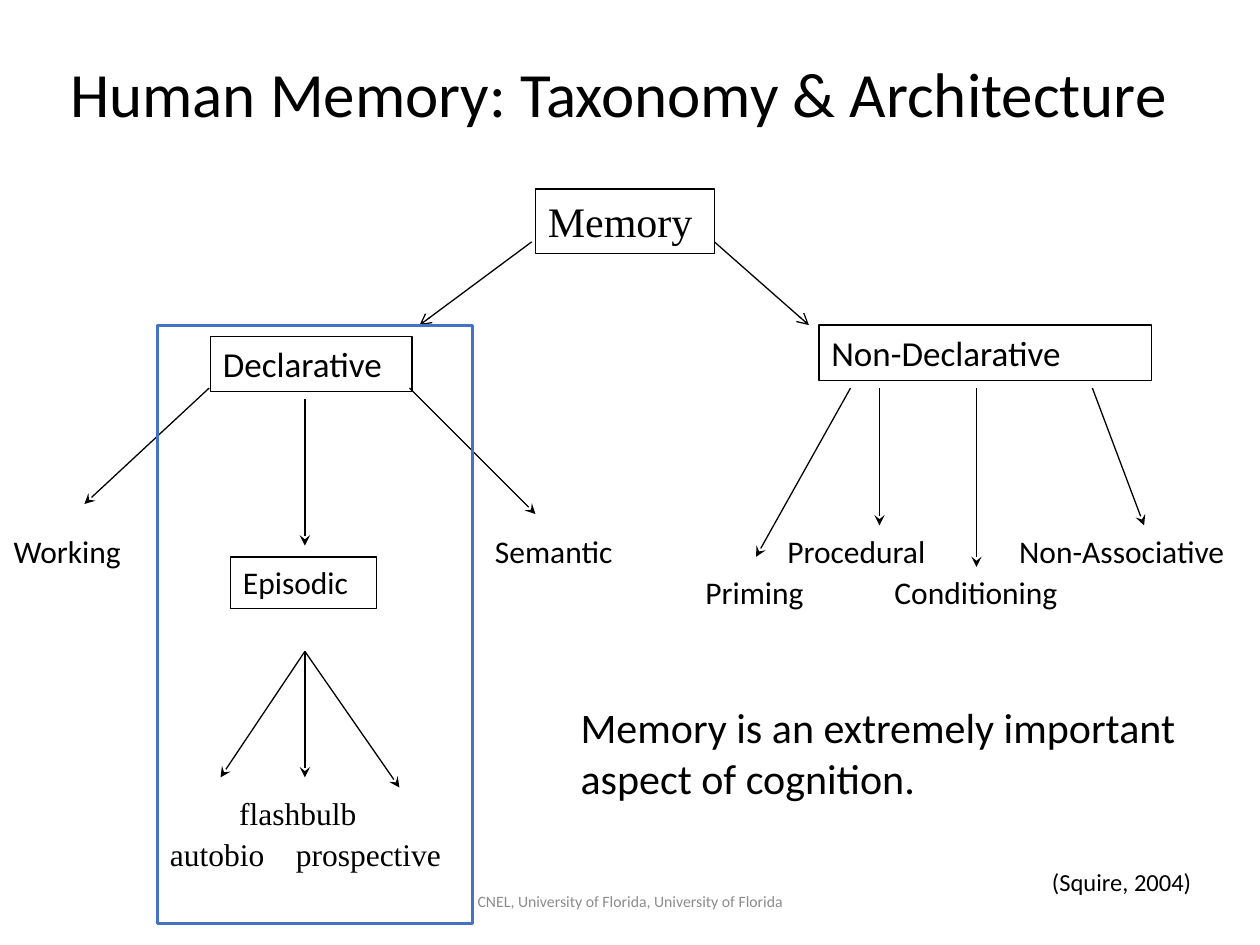
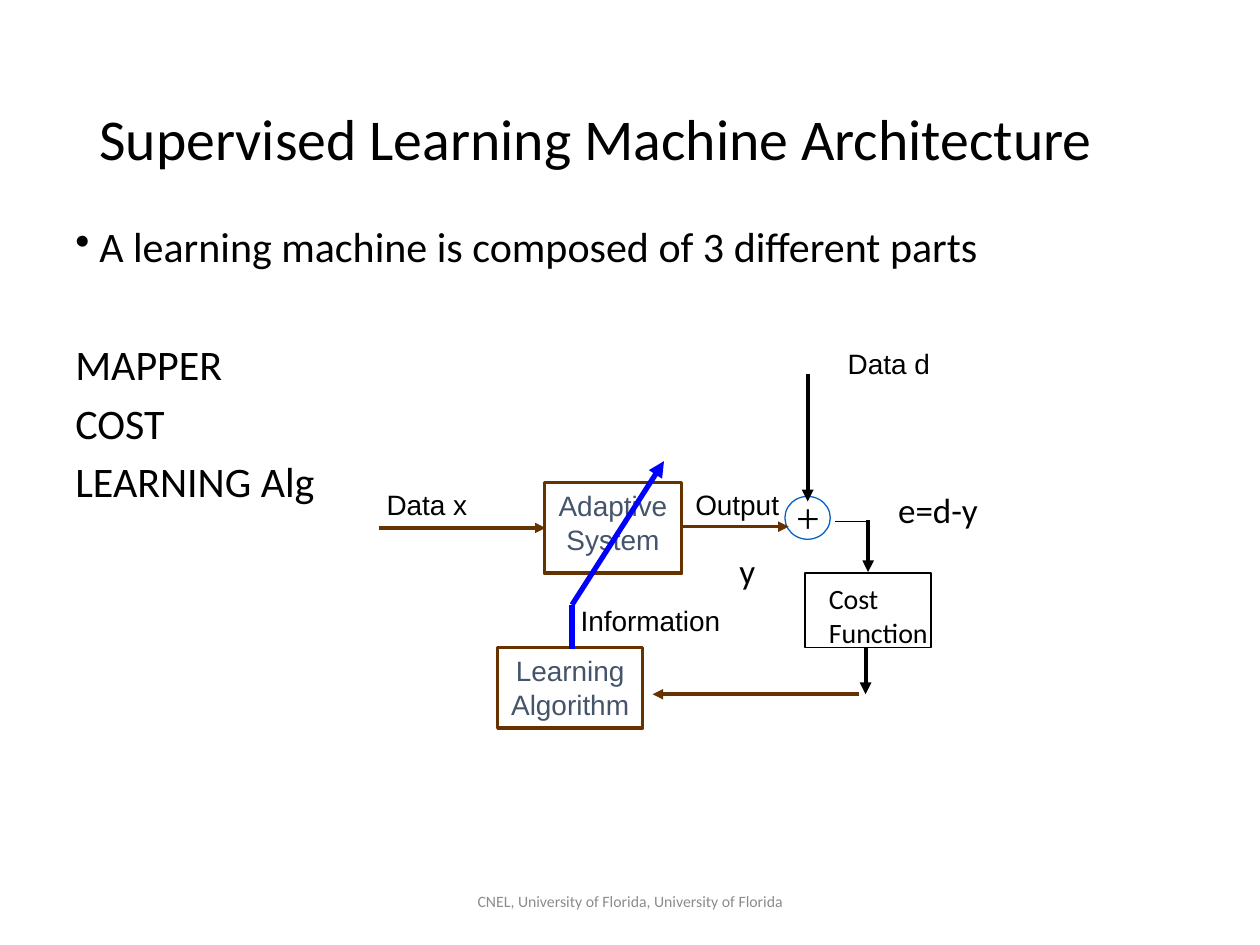
from lxml import etree
from pptx import Presentation
from pptx import util as u
from pptx.dml.color import RGBColor
from pptx.enum import shapes, text
from pptx.oxml import ns

rgb = RGBColor.from_string
BLACK, GREY, SLATE, BROWN, BLUE = "000000", "8C8C8C", "44546A", "663300", "0000FF"
SANS, SERIF, ARIAL = "Calibri", "Times New Roman", "Arial"
LEFT, CENTER = text.PP_ALIGN.LEFT, text.PP_ALIGN.CENTER
TOP, MIDDLE = text.MSO_ANCHOR.TOP, text.MSO_ANCHOR.MIDDLE
RECT, OVAL = shapes.MSO_SHAPE.RECTANGLE, shapes.MSO_SHAPE.OVAL


def add_text(s, at, lines, size=18, font=SANS, color=BLACK, align=LEFT,
             anchor=TOP, wrap=False, outline=None, width=0.75, kind=RECT):
    """Text box, or an outlined shape when an outline colour is given."""
    box = [u.Inches(v) for v in at]
    if outline:
        sp = s.shapes.add_shape(kind, *box)
        sp.shadow.inherit = False
        sp.fill.background()
        sp.line.color.rgb = rgb(outline)
        sp.line.width = u.Pt(width)
    else:
        sp = s.shapes.add_textbox(*box)
    if not lines:
        return None
    tf = sp.text_frame
    tf.word_wrap = wrap
    tf.auto_size = text.MSO_AUTO_SIZE.NONE if wrap else text.MSO_AUTO_SIZE.SHAPE_TO_FIT_TEXT
    tf.vertical_anchor = anchor
    tf.text = lines
    for p in tf.paragraphs:
        p.alignment = align
        p.font.size = u.Pt(size)
        p.font.name = font
        p.font.color.rgb = rgb(color)
    return tf


def add_line(s, x1, y1, x2, y2, color=BLACK, width=0.75, head=None):
    """Straight line with an optional arrowhead at its end."""
    c = s.shapes.add_connector(shapes.MSO_CONNECTOR.STRAIGHT,
                               *[u.Inches(v) for v in (x1, y1, x2, y2)])
    c.line.color.rgb = rgb(color)
    c.line.width = u.Pt(width)
    if head:
        ln = c.line._get_or_add_ln()
        etree.SubElement(ln, ns.qn("a:tailEnd"), type=head)
    etree.SubElement(c._element.spPr, ns.qn("a:effectLst"))


prs = Presentation()
prs.slide_width, prs.slide_height = u.Inches(10), u.Inches(7.5)

# Titles and footers
slides = []
for title, at, size, align in [
    ("Human Memory: Taxonomy & Architecture", (0.42, 0.52, 8.98, 0.5), 36, CENTER),
    ("Supervised Learning Machine Architecture", (0.69, 0.4, 8.62, 1.45), 33, LEFT),
]:
    s = prs.slides.add_slide(prs.slide_layouts[6])
    tf = add_text(s, at, title, size, align=align, anchor=MIDDLE, wrap=True)
    tf.paragraphs[0].line_spacing = 0.9
    add_text(s, (3.31, 6.95, 3.38, 0.4), "CNEL, University of Florida, University of Florida",
             9, color=GREY, align=CENTER, anchor=MIDDLE, wrap=True)
    slides.append(s)
memory, machine = slides

# Memory: boxed categories
for name, at, size, font, width in [
    ("Memory", (4.25, 1.5, 1.42, 0.51), 24, SERIF, 0.75),
    ("Declarative", (1.67, 2.67, 1.6, 0.44), 20, SANS, 0.75),
    ("Non-Declarative", (6.5, 2.58, 2.64, 0.44), 20, SANS, 0.75),
    ("Episodic", (1.83, 4.42, 1.16, 0.41), 18, SANS, 1),
]:
    add_text(memory, at, name, size, font, outline=BLACK, width=width,
             wrap=name == "Non-Declarative")

# Memory: leaf labels
for name, x, y, w, font in [
    ("Working", 0.01, 4.17, 1.05, SANS),
    ("Semantic", 3.83, 4.17, 1.25, SANS),
    ("Procedural", 6.15, 4.17, 1.41, SANS),
    ("Non-Associative", 7.99, 4.17, 2.01, SANS),
    ("Priming", 5.5, 4.5, 1.05, SANS),
    ("Conditioning", 7, 4.5, 1.59, SANS),
    ("flashbulb", 1.8, 6.25, 1.21, SERIF),
    ("autobio", 1.25, 6.58, 1.03, SERIF),
    ("prospective", 2.25, 6.58, 1.49, SERIF),
]:
    add_text(memory, (x, y, w, 0.4), name, font=font)

# Memory: branches
for ends in [(4.22, 1.92, 3.33, 2.58), (5.67, 1.92, 6.42, 2.58)]:
    add_line(memory, *ends, head="arrow")
for ends in [
    (1.66, 3.08, 0.67, 4), (2.42, 3.17, 2.42, 4.33), (3.25, 3.08, 4.25, 4.08),
    (6.75, 3.08, 6, 4.42), (6.98, 3.08, 6.98, 4.17),
    (7.75, 3.08, 7.75, 4.5), (8.67, 3.08, 9.08, 4.17),
    (2.42, 5.17, 1.75, 6.17), (2.42, 5.17, 2.42, 6.17), (2.42, 5.17, 3.17, 6.25),
]:
    add_line(memory, *ends, head="stealth")

# Memory: highlight, remark and citation
add_text(memory, (1.25, 2.58, 2.5, 4.75), "", outline="4472C4", width=1.75)
add_text(memory, (4.51, 5.52, 5.24, 0.91),
         "Memory is an extremely important aspect of cognition.", 24, wrap=True)
add_text(memory, (8.25, 6.83, 1.5, 0.34), "(Squire, 2004)", 14)

# Machine: body text
tf = add_text(machine, (0.5, 1.75, 9, 5.13),
              "A learning machine is composed of 3 different parts\nMAPPER\nCOST\nLEARNING Alg",
              24, wrap=True)
for p, before in zip(tf.paragraphs, (0, 41.4, 7.5, 7.5)):
    p.line_spacing = 0.9
    p.space_before = u.Pt(before)
pPr = tf.paragraphs[0]._p.get_or_add_pPr()
pPr.set("marL", str(u.Inches(0.19)))
pPr.set("indent", str(u.Inches(-0.19)))
bullet = etree.Element(ns.qn("a:buChar"), char="•")
pPr.find(ns.qn("a:defRPr")).addprevious(bullet)

# Machine: blocks
for name, at in [("Learning\nAlgorithm", (3.95, 5.14, 1.15, 0.64)),
                 ("Adaptive\nSystem", (4.32, 3.83, 1.09, 0.72))]:
    add_text(machine, at, name, 16, ARIAL, SLATE, CENTER, outline=BROWN, width=2)
add_text(machine, (6.39, 4.55, 1, 0.59), "", outline=BLACK, width=1)
add_text(machine, (6.23, 3.94, 0.36, 0.34), "", outline="0563C1", kind=OVAL)

# Machine: signal flow
for ends, color, width, head in [
    ((3.01, 4.19, 4.33, 4.19), BROWN, 2, "triangle"),
    ((5.41, 4.18, 6.26, 4.18), BROWN, 2, "triangle"),
    ((6.82, 5.51, 5.18, 5.51), BROWN, 2, "triangle"),
    ((4.54, 5.15, 4.54, 4.8), BLUE, 3, None),
    ((4.54, 4.8, 5.27, 3.66), BLUE, 3, "triangle"),
    ((6.41, 2.97, 6.41, 3.98), BLACK, 2.25, "triangle"),
    ((6.63, 4.14, 6.87, 4.14), BLACK, 0.75, None),
    ((6.89, 4.13, 6.89, 4.54), BLACK, 2.25, "triangle"),
    ((6.87, 5.14, 6.87, 5.51), BLACK, 2.25, "triangle"),
]:
    add_line(machine, *ends, color, width, head)

# Machine: labels
for name, at, size, font in [
    ("Data x", (2.97, 3.82, 0.84, 0.37), 16, ARIAL),
    ("Output", (5.42, 3.82, 0.87, 0.37), 16, ARIAL),
    ("Data d", (6.63, 2.7, 0.86, 0.37), 16, ARIAL),
    ("Information", (4.51, 4.74, 1.31, 0.37), 16, ARIAL),
    ("Cost\nFunction", (6.48, 4.57, 1, 0.64), 16, SANS),
    ("y", (5.77, 4.31, 0.33, 0.44), 20, SANS),
    ("e=d-y", (7.03, 3.83, 0.84, 0.44), 20, SANS),
    ("+", (6.22, 3.85, 0.39, 0.5), 24, SERIF),
]:
    add_text(machine, at, name, size, font)

prs.save("out.pptx")
